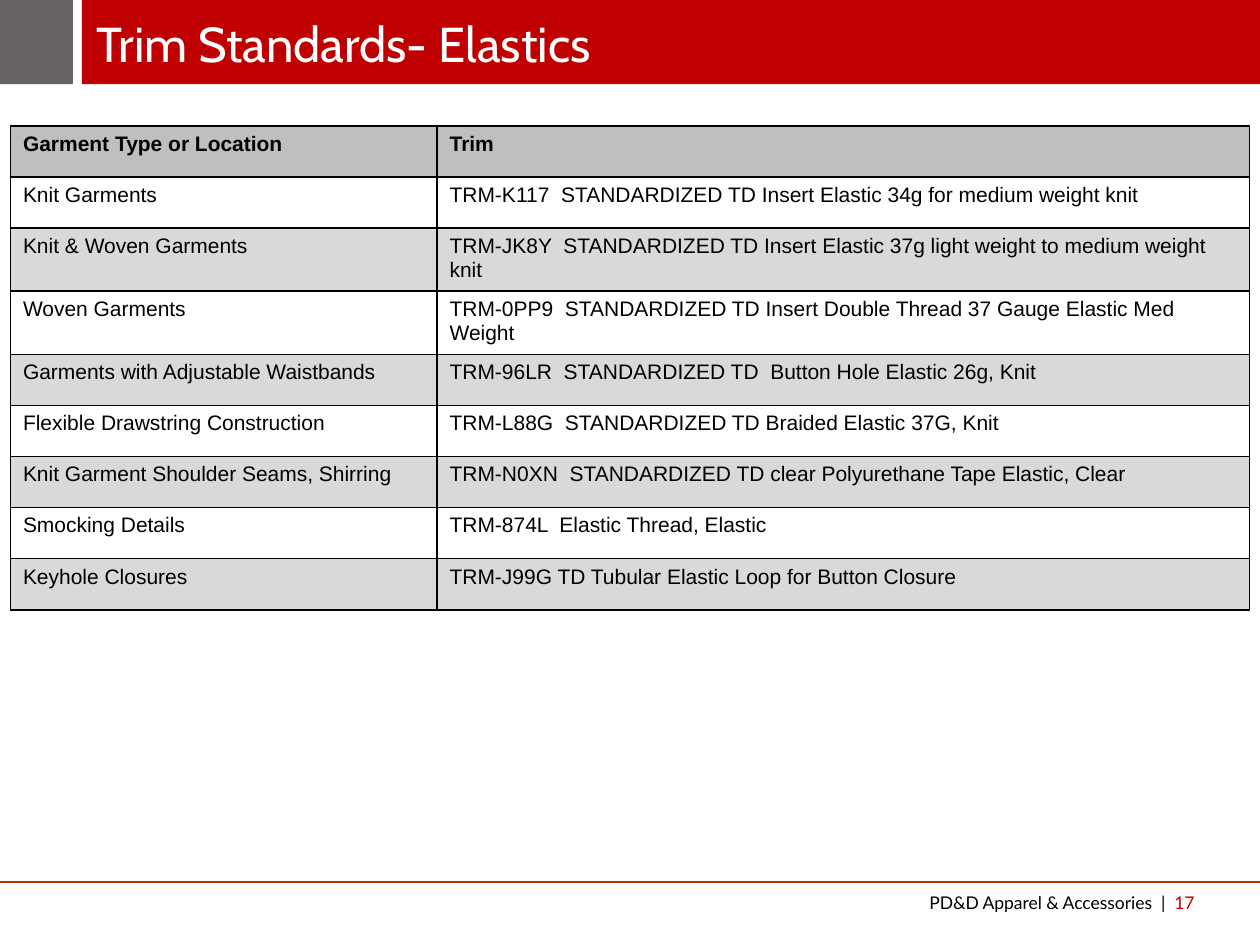
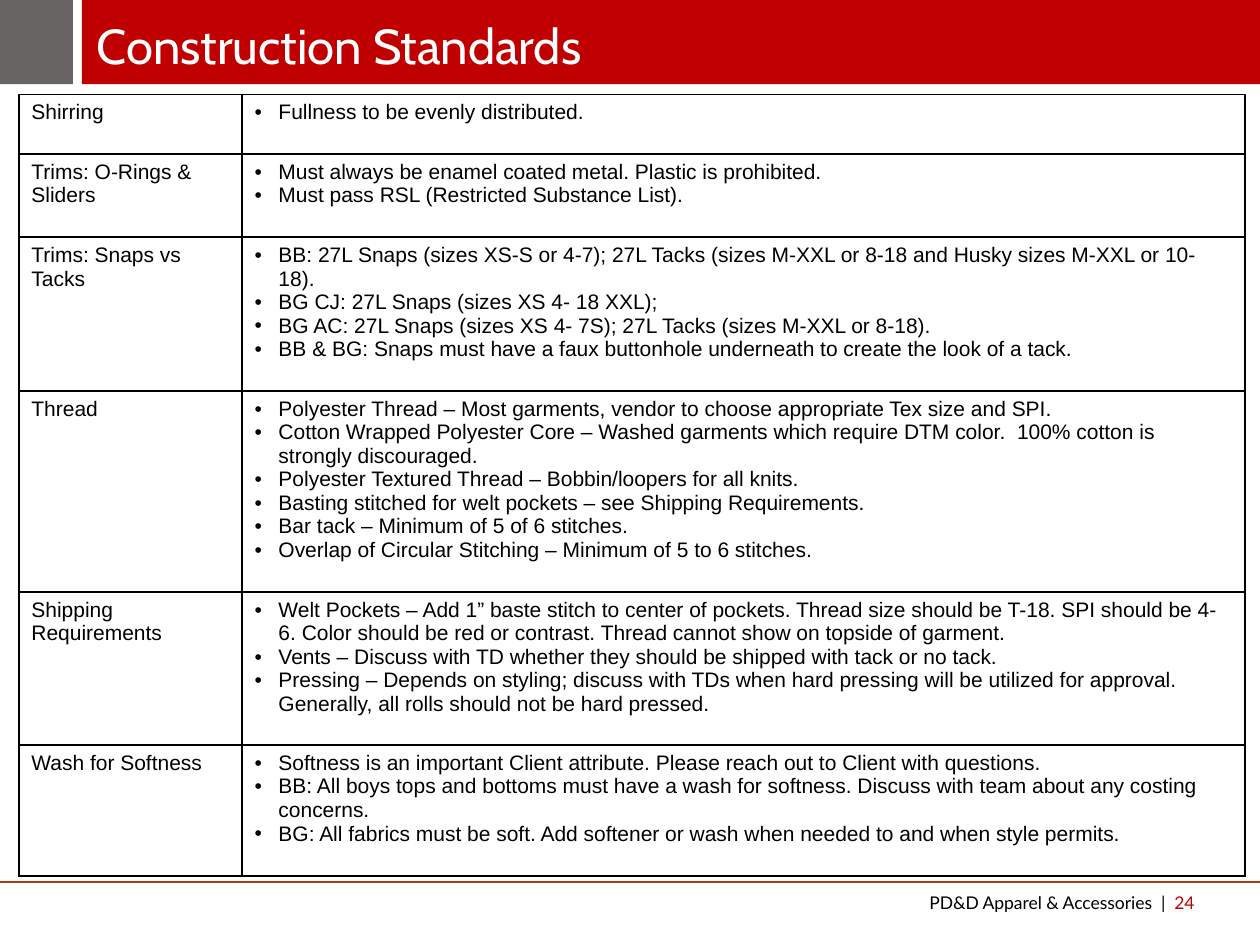
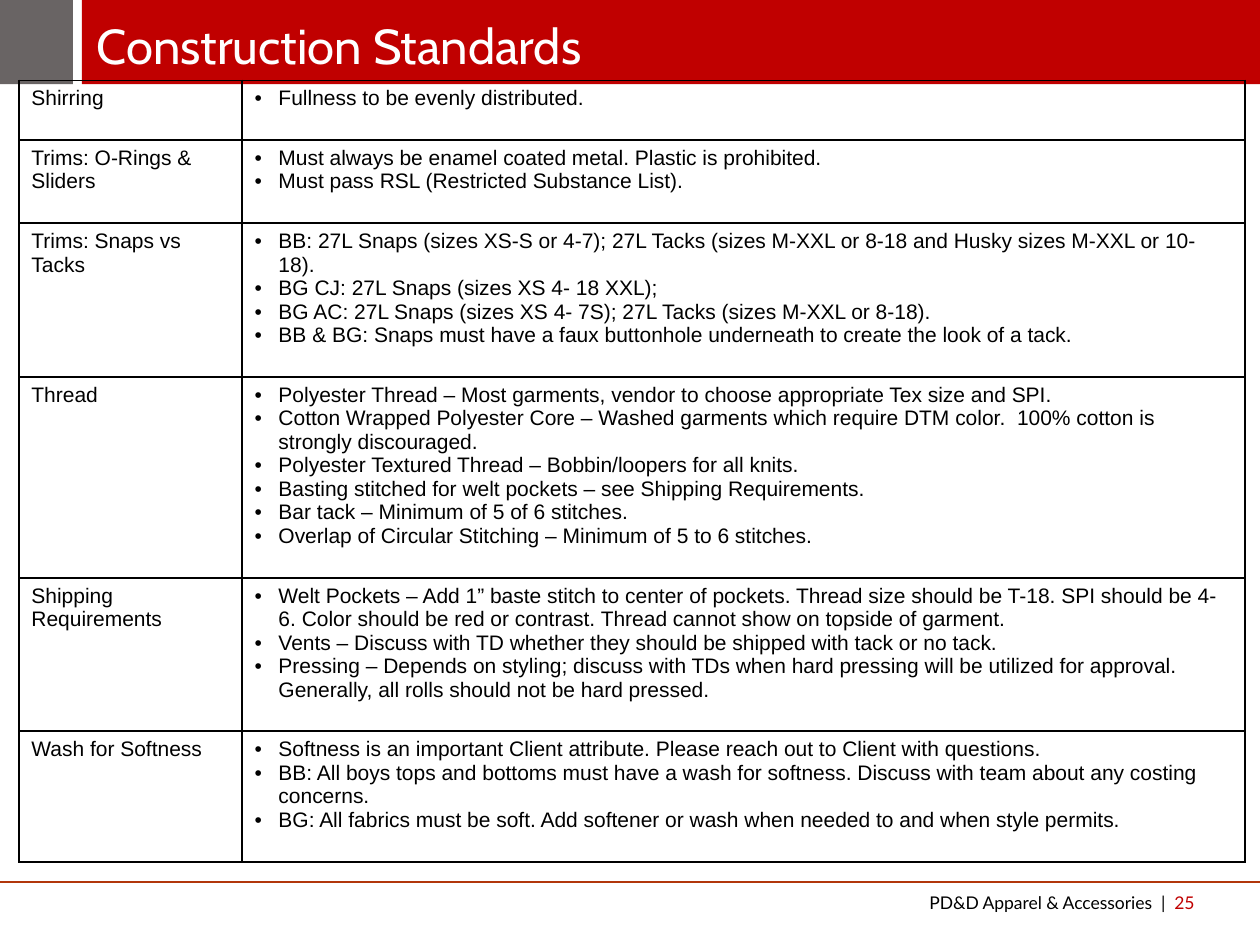
import lxml.etree
import pptx
import pptx.dml.color
import pptx.enum.shapes
import pptx.enum.text
import pptx.oxml.ns
import pptx.util

Cm = pptx.util.Cm
Pt = pptx.util.Pt
qn = pptx.oxml.ns.qn

COLORS = {
    "red": "C00000",
    "grey": "696464",
    "rule": "B1360B",
    "white": "FFFFFF",
    "black": "000000",
    "header": "BFBFBF",
    "stripe": "D9D9D9",
}
PAGE_WIDTH, PAGE_HEIGHT = 25.4, 19.05
BAND_HEIGHT = 1.7
FOOTER_TOP = 17.78
BULLET_INDENT = 0.48
FOOTER_LABEL = "PD&D Apparel & Accessories  |  "

TITLE_STYLE = {"name": "Cabin", "size": Pt(28), "bold": False}
FOOTER_STYLE = {"name": "Lato", "size": Pt(10)}
CELL_STYLE = {"name": "Arial", "size": Pt(12), "bold": False}
HEADER_STYLE = {**CELL_STYLE, "bold": True}
TITLE_FRAME = {
    "word_wrap": True,
    "auto_size": pptx.enum.text.MSO_AUTO_SIZE.NONE,
    "vertical_anchor": pptx.enum.text.MSO_ANCHOR.BOTTOM,
    "margin_left": Cm(0.25),
    "margin_right": Cm(0.25),
    "margin_top": Cm(0.13),
    "margin_bottom": Cm(0.25),
}
FOOTER_FRAME = {
    "word_wrap": True,
    "vertical_anchor": pptx.enum.text.MSO_ANCHOR.MIDDLE,
}

ELASTICS = [
    ("Garment Type or Location", "Trim"),
    ("Knit Garments",
     "TRM-K117  STANDARDIZED TD Insert Elastic 34g for medium weight knit"),
    ("Knit & Woven Garments",
     "TRM-JK8Y  STANDARDIZED TD Insert Elastic 37g light weight to medium weight knit"),
    ("Woven Garments",
     "TRM-0PP9  STANDARDIZED TD Insert Double Thread 37 Gauge Elastic Med Weight"),
    ("Garments with Adjustable Waistbands",
     "TRM-96LR  STANDARDIZED TD  Button Hole Elastic 26g, Knit"),
    ("Flexible Drawstring Construction",
     "TRM-L88G  STANDARDIZED TD Braided Elastic 37G, Knit"),
    ("Knit Garment Shoulder Seams, Shirring",
     "TRM-N0XN  STANDARDIZED TD clear Polyurethane Tape Elastic, Clear"),
    ("Smocking Details", "TRM-874L  Elastic Thread, Elastic"),
    ("Keyhole Closures", "TRM-J99G TD Tubular Elastic Loop for Button Closure"),
]

CONSTRUCTION = [
    (1.2, "Shirring", ["Fullness to be evenly distributed."]),
    (1.68, "Trims: O-Rings & Sliders", [
        "Must always be enamel coated metal. Plastic is prohibited.",
        "Must pass RSL (Restricted Substance List).",
    ]),
    (3.1, "Trims: Snaps vs Tacks", [
        "BB: 27L Snaps (sizes XS-S or 4-7); 27L Tacks (sizes M-XXL or 8-18 "
        "and Husky sizes M-XXL or 10-18).",
        "BG CJ: 27L Snaps (sizes XS 4- 18 XXL);",
        "BG AC: 27L Snaps (sizes XS 4- 7S); 27L Tacks (sizes M-XXL or 8-18).",
        "BB & BG: Snaps must have a faux buttonhole underneath to create "
        "the look of a tack.",
    ]),
    (4.05, "Thread", [
        "Polyester Thread – Most garments, vendor to choose appropriate Tex size and SPI.",
        "Cotton Wrapped Polyester Core – Washed garments which require DTM color.  "
        "100% cotton is strongly discouraged.",
        "Polyester Textured Thread – Bobbin/loopers for all knits.",
        "Basting stitched for welt pockets – see Shipping Requirements.",
        "Bar tack – Minimum of 5 of 6 stitches.",
        "Overlap of Circular Stitching – Minimum of 5 to 6 stitches.",
    ]),
    (3.09, "Shipping Requirements", [
        "Welt Pockets – Add 1” baste stitch to center of pockets. Thread size should be "
        "T-18. SPI should be 4-6. Color should be red or contrast. Thread cannot show on "
        "topside of garment.",
        "Vents – Discuss with TD whether they should be shipped with tack or no tack.",
        "Pressing – Depends on styling; discuss with TDs when hard pressing will be "
        "utilized for approval. Generally, all rolls should not be hard pressed.",
    ]),
    (2.64, "Wash for Softness", [
        "Softness is an important Client attribute. Please reach out to Client with questions.",
        "BB: All boys tops and bottoms must have a wash for softness. Discuss with team "
        "about any costing concerns.",
        "BG: All fabrics must be soft. Add softener or wash when needed to and when "
        "style permits.",
    ]),
]


def rgb(color):
    """Return the named colour as an RGB value."""
    return pptx.dml.color.RGBColor.from_string(COLORS[color])


def apply(target, values):
    """Set each attribute in a dict of format values."""
    for name, value in values.items():
        setattr(target, name, value)


def add_span(para, text, style, color):
    """Add a formatted run to a paragraph."""
    span = para.add_run()
    span.text = text
    apply(span.font, style)
    span.font.color.rgb = rgb(color)


def add_band(page, box, color):
    """Draw one plain coloured block."""
    band = page.shapes.add_shape(
        pptx.enum.shapes.MSO_SHAPE.RECTANGLE, *map(Cm, box))
    band.shadow.inherit = False
    band.fill.solid()
    band.fill.fore_color.rgb = rgb(color)
    band.line.fill.background()


def add_heading(page, text, box):
    """Move the title placeholder in front of the bands and fill it."""
    title = page.shapes.title
    title.element.getparent().append(title.element)
    apply(title, dict(zip(("left", "top", "width", "height"), map(Cm, box))))
    apply(title.text_frame, TITLE_FRAME)
    para = title.text_frame.paragraphs[0]
    para.alignment = pptx.enum.text.PP_ALIGN.LEFT
    add_span(para, text, TITLE_STYLE, "white")


def add_footer(page, number, box):
    """Draw the footer rule, label and page number."""
    left, top, width, height = box
    rule = page.shapes.add_connector(
        pptx.enum.shapes.MSO_CONNECTOR.STRAIGHT,
        Cm(0), Cm(top), Cm(PAGE_WIDTH), Cm(top))
    rule.line.color.rgb = rgb("rule")
    rule.line.width = Pt(0.75)
    lxml.etree.SubElement(rule.element.spPr, qn("a:effectLst"))
    label = page.shapes.add_textbox(Cm(left), Cm(top), Cm(width), Cm(height))
    apply(label.text_frame, FOOTER_FRAME)
    para = label.text_frame.paragraphs[0]
    para.alignment = pptx.enum.text.PP_ALIGN.RIGHT
    add_span(para, FOOTER_LABEL, FOOTER_STYLE, "black")
    add_span(para, str(number), FOOTER_STYLE, "red")


def add_page(deck, heading, number, heading_top):
    """Add a page with its bands, title and footer."""
    page = deck.slides.add_slide(deck.slide_layouts[5])
    add_band(page, (1.65, 0, PAGE_WIDTH - 1.65, BAND_HEIGHT), "red")
    add_band(page, (0, 0, 1.47, BAND_HEIGHT), "grey")
    add_heading(page, heading, (1.7, heading_top, 21.59, BAND_HEIGHT))
    add_footer(page, number, (2.11, FOOTER_TOP, 22.22, 0.84))
    return page


def set_bullet(para):
    """Give a paragraph a hanging bullet."""
    props = para._p.get_or_add_pPr()
    props.set("marL", str(Cm(BULLET_INDENT)))
    props.set("indent", str(-Cm(BULLET_INDENT)))
    lxml.etree.SubElement(props, qn("a:buFont"), typeface="Arial")
    lxml.etree.SubElement(props, qn("a:buChar"), char="•")


def set_borders(cell):
    """Outline a cell on all four sides."""
    props = cell._tc.get_or_add_tcPr()
    for side in ("a:lnL", "a:lnR", "a:lnT", "a:lnB"):
        line = lxml.etree.SubElement(props, qn(side), w=str(Pt(1)))
        fill = lxml.etree.SubElement(line, qn("a:solidFill"))
        lxml.etree.SubElement(fill, qn("a:srgbClr"), val=COLORS["black"])


def fill_cell(cell, lines, style=CELL_STYLE, color=None, bulleted=False):
    """Write the lines of a cell and set its border and fill."""
    set_borders(cell)
    if color:
        cell.fill.solid()
        cell.fill.fore_color.rgb = rgb(color)
    else:
        cell.fill.background()
    frame = cell.text_frame
    for index, text in enumerate(lines):
        para = frame.add_paragraph() if index else frame.paragraphs[0]
        if bulleted:
            set_bullet(para)
        add_span(para, text, style, "black")


def add_grid(page, origin, widths, heights):
    """Add an unstyled table with the given column widths and row heights."""
    left, top = origin
    grid = page.shapes.add_table(
        len(heights), len(widths),
        Cm(left), Cm(top), Cm(sum(widths)), Cm(sum(heights))).table
    apply(grid, {"first_row": False, "horz_banding": False})
    for column, width in zip(grid.columns, widths):
        column.width = Cm(width)
    for row, height in zip(grid.rows, heights):
        row.height = Cm(height)
    return grid


def add_elastics_table(page, origin):
    """List the elastic trims with a header and striped rows."""
    grid = add_grid(page, origin, (8.6, 16.38), [1.03] * len(ELASTICS))
    for index, texts in enumerate(ELASTICS):
        style = CELL_STYLE if index else HEADER_STYLE
        color = (None if index % 2 else "stripe") if index else "header"
        for cell, text in zip(grid.rows[index].cells, texts):
            fill_cell(cell, [text], style, color)


def add_construction_table(page, origin):
    """List the construction topics with their bulleted rules."""
    heights = [height for height, topic, rules in CONSTRUCTION]
    grid = add_grid(page, origin, (4.5, 20.22), heights)
    for index, (height, topic, rules) in enumerate(CONSTRUCTION):
        fill_cell(grid.cell(index, 0), [topic])
        fill_cell(grid.cell(index, 1), rules, bulleted=True)


def main():
    """Build the three pages and save the deck."""
    deck = pptx.Presentation()
    deck.slide_width, deck.slide_height = Cm(PAGE_WIDTH), Cm(PAGE_HEIGHT)
    elastics = add_page(deck, "Trim Standards- Elastics", 17, 0)
    add_elastics_table(elastics, (0.21, 2.54))
    for number, table_top in ((24, 1.9), (25, 1.62)):
        page = add_page(deck, "Construction Standards", number, 0.05)
        add_construction_table(page, (0.38, table_top))
    deck.save("out.pptx")


if __name__ == "__main__":
    main()
